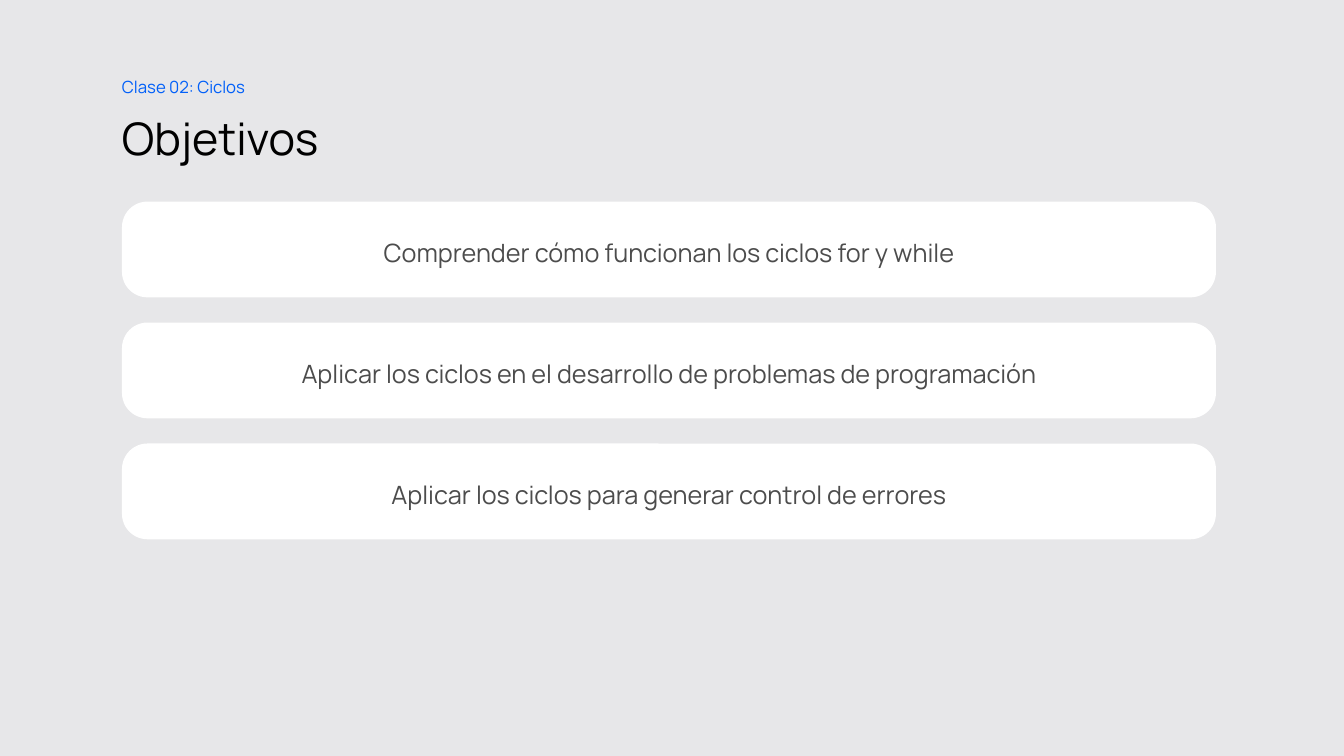
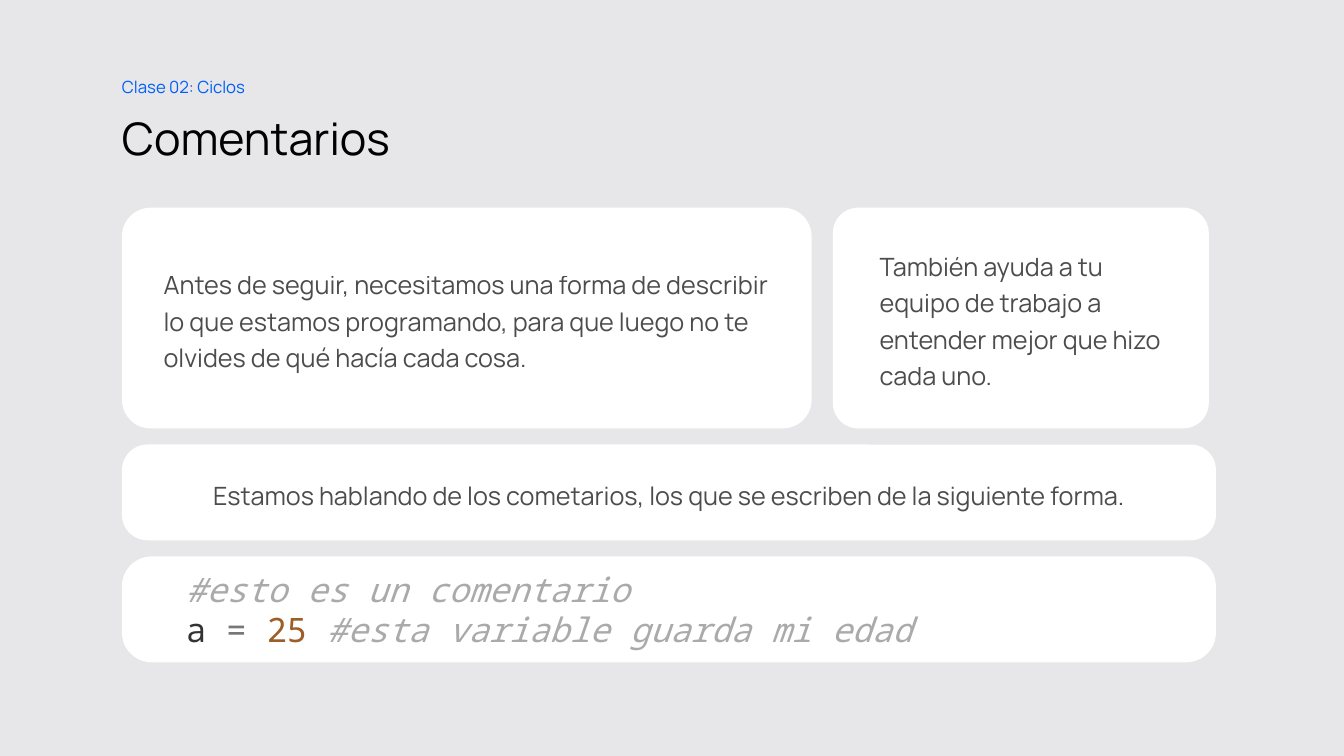
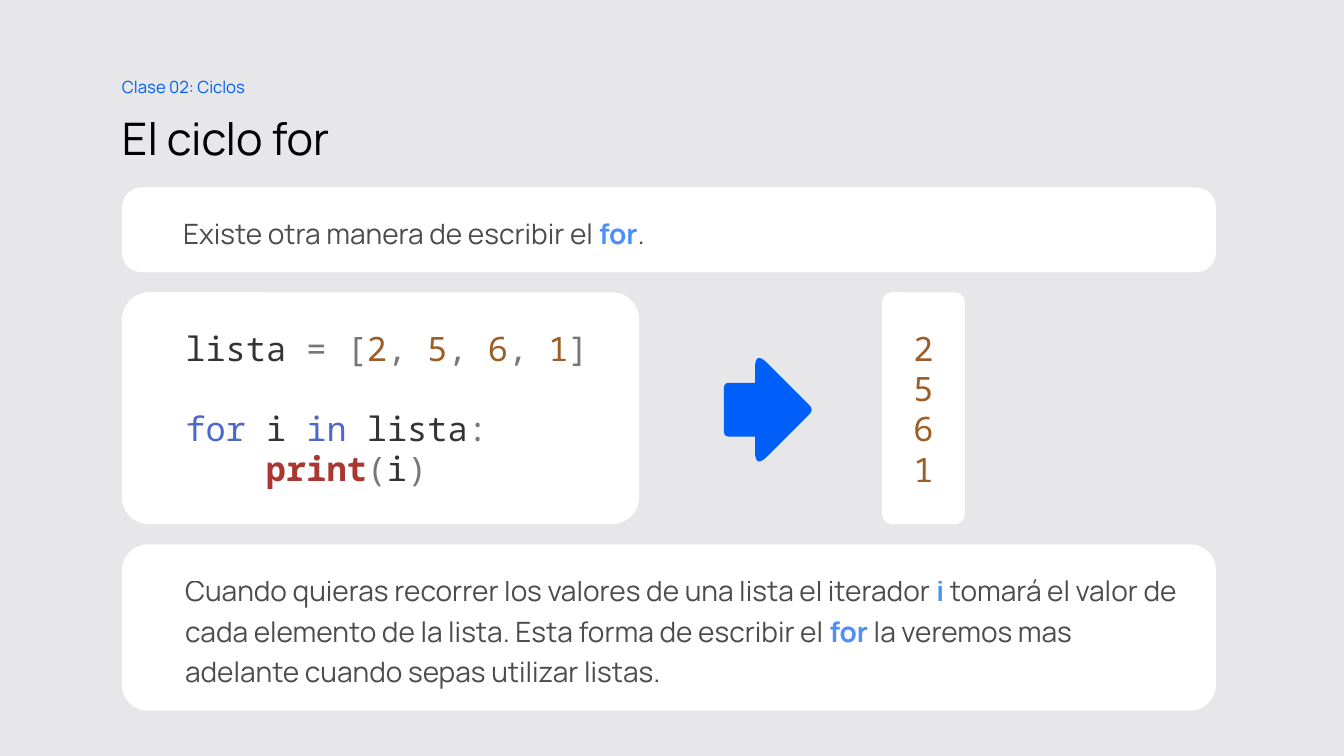
from collections import namedtuple
from pptx import Presentation
from pptx.dml.color import RGBColor
from pptx.enum.shapes import MSO_SHAPE
from pptx.enum.text import MSO_ANCHOR, MSO_AUTO_SIZE, PP_ALIGN
from pptx.oxml.xmlchemy import OxmlElement
from pptx.util import Inches, Pt

ROUNDED = MSO_SHAPE.ROUNDED_RECTANGLE
MIDDLE, TOP = MSO_ANCHOR.MIDDLE, MSO_ANCHOR.TOP
LEFT, CENTER = PP_ALIGN.LEFT, PP_ALIGN.CENTER
NO_FIT = MSO_AUTO_SIZE.NONE

# Shared look
BACKGROUND, WHITE, BLACK, BLUE = "E7E7E9", "FFFFFF", "000000", "005FF9"
SANS, MONO = "Manrope", "Noto Sans Mono"
MARGIN, FULL_WIDTH = 1.21, 10.85
ROW_HEIGHT = 0.95
ROW_INSETS, OUTPUT_INSETS, WIDE_INSETS = (0.2, 0.2), (0.28, 0.28), (0.55, 0.3)
CODE_LINE = 28.5
CODE_INDENT = 0.8
OUTLINE_UNITS = 1000  # freeform units per inch

Box = namedtuple("Box", "left top width height")
Ink = namedtuple("Ink", "color opacity bold italic", defaults=(100, False, False))

TITLE_INK, LABEL_INK = Ink(BLACK), Ink(BLUE)
PROSE, KEYWORD = Ink(BLACK, 70), Ink(BLUE, 70, True)
NAME, SIGN, NUMBER = Ink("333333"), Ink("777777"), Ink("9C5D27")
REMARK, RESERVED = Ink("AAAAAA", italic=True), Ink("4B69C6")
FUNCTION = Ink("AA3731", bold=True)


def rgb(color):
    return RGBColor.from_string(color)


def emu(box):
    return [Inches(length) for length in box]


def paint(shape, color):
    shape.shadow.inherit = False
    shape.fill.solid()
    shape.fill.fore_color.rgb = rgb(color)
    shape.line.fill.background()


def set_frame(frame, insets, anchor=MIDDLE, wrap=True):
    """Insets run left, top, right, bottom."""
    frame.auto_size = NO_FIT
    frame.word_wrap = wrap
    frame.vertical_anchor = anchor
    (frame.margin_left, frame.margin_top,
     frame.margin_right, frame.margin_bottom) = emu(insets)


def add_run(paragraph, words, ink, font, size):
    run = paragraph.add_run()
    run.text = words
    style = run.font
    style.name, style.size = font, Pt(size)
    style.bold, style.italic = ink.bold, ink.italic
    style.color.rgb = rgb(ink.color)
    if ink.opacity < 100:
        alpha = OxmlElement("a:alpha")
        alpha.set("val", str(ink.opacity * 1000))
        style.fill._xPr.find(".//{*}srgbClr").append(alpha)


def write_prose(paragraph, runs, size, align=LEFT):
    paragraph.alignment = align
    paragraph.line_spacing = 1.2
    paragraph.space_before = Pt(10)
    for words, ink in runs:
        add_run(paragraph, words, ink, SANS, size)


def add_card(slide, box, radius, insets):
    """White rounded card; returns its text frame."""
    card = slide.shapes.add_shape(ROUNDED, *emu(box))
    card.adjustments[0] = radius
    paint(card, WHITE)
    left, right = insets
    set_frame(card.text_frame, (left, 0, right, 0))
    return card.text_frame


def add_prose_card(slide, box, radius, runs, insets, size=18, align=LEFT):
    frame = add_card(slide, box, radius, insets)
    write_prose(frame.paragraphs[0], runs, size, align)


def add_row(slide, top, sentence):
    """Full-width row with one centred sentence."""
    add_prose_card(slide, Box(MARGIN, top, FULL_WIDTH, ROW_HEIGHT), 0.266,
                   [(sentence, PROSE)], ROW_INSETS, align=CENTER)


def add_code_card(slide, box, radius, lines, insets=WIDE_INSETS):
    """Each line is (indent level, blank lines before it, runs)."""
    frame = add_card(slide, box, radius, insets)
    for index, (level, gap, runs) in enumerate(lines):
        line = frame.add_paragraph() if index else frame.paragraphs[0]
        line.alignment = LEFT
        line.space_before = Pt(gap * CODE_LINE)
        if level:
            line._p.get_or_add_pPr().set("marL", str(Inches(level * CODE_INDENT)))
        for words, ink in runs:
            add_run(line, words, ink, MONO, 24)


def rounded_corner(before, corner, after, steps=8):
    """Points along a curve that rounds one corner."""
    for step in range(steps + 1):
        t = step / steps
        yield tuple(((1 - t) ** 2 * a + 2 * t * (1 - t) * b + t * t * c) * OUTLINE_UNITS
                    for a, b, c in zip(before, corner, after))


def add_arrow(slide, box):
    """Block arrow: rounded stem and a right-angled head."""
    left, top, width, height = box
    stem = slide.shapes.add_shape(ROUNDED, *emu(
        (left, top + height * 0.23, width * 0.53, height * 0.54)))
    stem.adjustments[0] = 0.1
    paint(stem, BLUE)

    back, middle, reach = left + width * 0.35, top + height / 2, height * 0.59
    tip = back + reach
    cut, slant, nose = 0.17, 0.12, 0.045
    upper = rounded_corner((back, middle - reach + cut), (back, middle - reach),
                           (back + slant, middle - reach + slant))
    front = rounded_corner((tip - nose, middle - nose), (tip, middle),
                           (tip - nose, middle + nose))
    lower = rounded_corner((back + slant, middle + reach - slant),
                           (back, middle + reach), (back, middle + reach - cut))
    outline = [*upper, *front, *lower]
    builder = slide.shapes.build_freeform(*outline[0], scale=Inches(1) / OUTLINE_UNITS)
    builder.add_line_segments(outline[1:], close=True)
    paint(builder.convert_to_shape(), BLUE)


def add_lesson_slide(deck, heading):
    """Slide with the class label and its title."""
    slide = deck.slides.add_slide(deck.slide_layouts[5])
    title = slide.shapes.title
    title.left, title.top, title.width, title.height = emu((MARGIN, 1, FULL_WIDTH, 0.75))
    set_frame(title.text_frame, (0, 0.1, 0.1, 0.05))
    line = title.text_frame.paragraphs[0]
    line.alignment, line.line_spacing = LEFT, 0.9
    add_run(line, heading, TITLE_INK, SANS, 32)

    label = slide.shapes.add_textbox(*emu((MARGIN, 0.67, 1.42, 0.34)))
    set_frame(label.text_frame, (0, 0.05, 0.1, 0.05), TOP, wrap=False)
    write_prose(label.text_frame.paragraphs[0], [("Clase 02: Ciclos", LABEL_INK)], 12)
    return slide


def build_goals(deck):
    slide = add_lesson_slide(deck, "Objetivos")
    goals = ("Comprender cómo funcionan los ciclos for y while",
             "Aplicar los ciclos en el desarrollo de problemas de programación",
             "Aplicar los ciclos para generar control de errores")
    for index, goal in enumerate(goals):
        add_row(slide, 2 + index * (ROW_HEIGHT + 0.25), goal)


def build_comments(deck):
    slide = add_lesson_slide(deck, "Comentarios")
    # Two cards side by side
    add_prose_card(slide, Box(MARGIN, 2.06, 6.84, 2.19), 0.13, [
        ("Antes de seguir, necesitamos una forma de describir lo que estamos "
         "programando, para que luego no te olvides de qué hacía cada cosa.", PROSE)],
        (0.33, 0.28))
    add_prose_card(slide, Box(8.26, 2.06, 3.73, 2.19), 0.116, [
        ("También ayuda a tu equipo de trabajo a entender mejor que hizo cada uno.", PROSE)],
        (0.39, 0.28))
    add_row(slide, 4.41, "Estamos hablando de los cometarios, los que se escriben "
                         "de la siguiente forma.")
    # Code example
    add_code_card(slide, Box(MARGIN, 5.52, FULL_WIDTH, 1.05), 0.28, [
        (0, 0, [("#esto es un comentario", REMARK)]),
        (0, 0, [("a ", NAME), ("= ", SIGN), ("25 ", NUMBER),
                ("#esta variable guarda mi edad", REMARK)])])


def build_for_loop(deck):
    slide = add_lesson_slide(deck, "El ciclo for")
    values = "2561"
    code_top, code_height = 2.9, 2.3
    add_prose_card(slide, Box(MARGIN, 1.86, FULL_WIDTH, 0.84), 0.23, [
        ("Existe otra manera de escribir el ", PROSE), ("for", KEYWORD), (".", PROSE)],
        WIDE_INSETS, 20)
    add_prose_card(slide, Box(MARGIN, 5.4, FULL_WIDTH, 1.65), 0.156, [
        ("Cuando quieras recorrer los valores de una lista el iterador ", PROSE),
        ("i", KEYWORD),
        (" tomará el valor de cada elemento de la lista. Esta forma de escribir el ", PROSE),
        ("for", KEYWORD),
        (" la veremos mas adelante cuando sepas utilizar listas.", PROSE)],
        WIDE_INSETS, 20)

    # Code, arrow and output
    items = [(", ", SIGN)] * (2 * len(values) - 1)
    items[::2] = [(value, NUMBER) for value in values]
    add_code_card(slide, Box(MARGIN, code_top, 5.13, code_height), 0.117, [
        (0, 0, [("lista ", NAME), ("= [", SIGN), *items, ("]", SIGN)]),
        (0, 1, [("for", RESERVED), (" i ", NAME), ("in", RESERVED),
                (" lista", NAME), (":", SIGN)]),
        (1, 0, [("print", FUNCTION), ("(", SIGN), ("i", NAME), (")", SIGN)])])
    add_arrow(slide, Box(7.18, 3.57, 0.88, 0.99))
    add_code_card(slide, Box(8.75, code_top, 0.82, code_height), 0.117,
                  [(0, 0, [(value, NUMBER)]) for value in values], OUTPUT_INSETS)


deck = Presentation()
deck.slide_width, deck.slide_height = Inches(13.33), Inches(7.5)
backdrop = deck.slide_master.background.fill
backdrop.solid()
backdrop.fore_color.rgb = rgb(BACKGROUND)
for build in (build_goals, build_comments, build_for_loop):
    build(deck)
deck.save("out.pptx")
